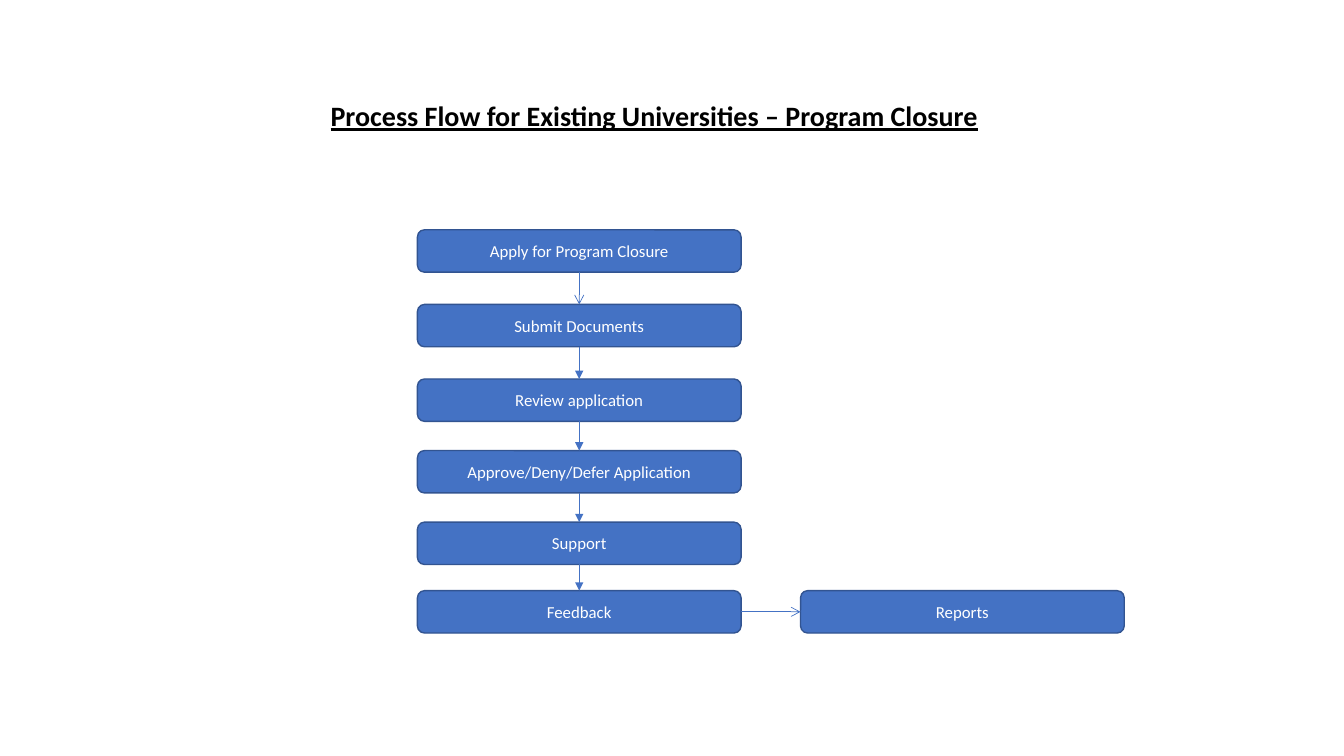
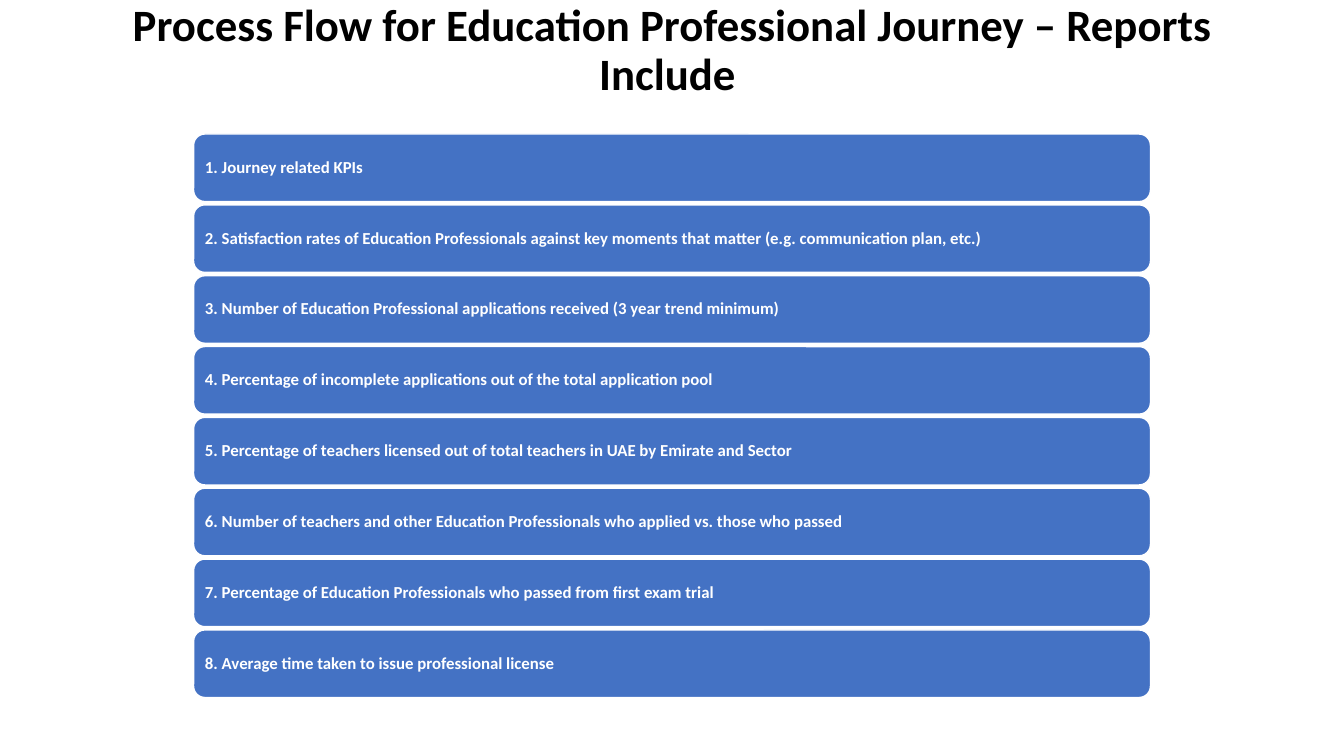
from itertools import pairwise

from lxml.etree import SubElement
from pptx import Presentation
from pptx.dml.color import RGBColor
from pptx.enum.shapes import MSO_CONNECTOR, MSO_SHAPE
from pptx.enum.text import MSO_ANCHOR, PP_ALIGN
from pptx.oxml.ns import qn
from pptx.util import Pt

EMU_PER_PX = 9144
SLIDE_SIZE = (1333, 750)
FONT = "Calibri"
COLORS = {
    "black": "000000",
    "white": "FFFFFF",
    "blue": "4472C4",
    "outline": "325491",
}
TOP, LEFT, BOTTOM, RIGHT = range(4)

STEPS = [
    "Apply for Program Closure",
    "Submit Documents",
    "Review application",
    "Approve/Deny/Defer Application",
    "Support",
    "Feedback",
]
STEP_GAPS = [32, 32, 29, 29, 26]
STEP_SIZE = (321, 42)
REPORTS_GAP = 59

REPORT_ITEMS = [
    "Journey related KPIs",
    "Satisfaction rates of Education Professionals against key moments "
    "that matter (e.g. communication plan, etc.)",
    "Number of Education Professional applications received (3 year trend minimum)",
    "Percentage of incomplete applications out of the total application pool",
    "Percentage of teachers licensed out of total teachers in UAE by Emirate and Sector",
    "Number of teachers and other Education Professionals who applied vs. those who passed",
    "Percentage of Education Professionals who passed from first exam trial",
    "Average time taken to issue professional license",
]
BAR_HEIGHT = 67


def px(length):
    return round(length * EMU_PER_PX)


def color(name):
    return RGBColor.from_string(COLORS[name])


def write(shape, text, size, color_name, alignment, bold=False, underline=False,
          line_spacing=1.0):
    paragraph = shape.text_frame.paragraphs[0]
    paragraph.alignment = alignment
    paragraph.line_spacing = line_spacing
    run = paragraph.add_run()
    run.text = text
    run.font.name = FONT
    run.font.size = Pt(size)
    run.font.bold = bold
    run.font.underline = underline
    run.font.color.rgb = color(color_name)


def add_title(slide, box, text, size, wrap=True, anchor=MSO_ANCHOR.TOP, **style):
    shape = slide.shapes.add_textbox(*map(px, box))
    shape.text_frame.word_wrap = wrap
    shape.text_frame.vertical_anchor = anchor
    write(shape, text, size, "black", bold=True, **style)


def add_rounded_box(slide, box, line_color):
    shape = slide.shapes.add_shape(MSO_SHAPE.ROUNDED_RECTANGLE, *map(px, box))
    shape.shadow.inherit = False
    shape.fill.solid()
    shape.fill.fore_color.rgb = color("blue")
    shape.line.color.rgb = color(line_color)
    shape.line.width = Pt(1)
    shape.text_frame.word_wrap = True
    shape.text_frame.vertical_anchor = MSO_ANCHOR.MIDDLE
    return shape


def add_step(slide, left, top, text):
    shape = add_rounded_box(slide, (left, top, *STEP_SIZE), "outline")
    write(shape, text, 12, "white", PP_ALIGN.CENTER)
    return shape


def add_arrow(slide, source, source_side, target, target_side, head):
    connector = slide.shapes.add_connector(MSO_CONNECTOR.STRAIGHT, 0, 0, 0, 0)
    connector.begin_connect(source, source_side)
    connector.end_connect(target, target_side)
    connector.line.color.rgb = color("blue")
    connector.line.width = Pt(0.5)
    SubElement(connector.line._get_or_add_ln(), qn("a:tailEnd"), type=head)
    SubElement(connector._element.spPr, qn("a:effectLst"))


def add_flow(slide, left, top):
    width, height = STEP_SIZE
    steps = []
    for text, gap in zip(STEPS, [0, *STEP_GAPS]):
        top += gap
        steps.append(add_step(slide, left, top, text))
        top += height
    reports = add_step(slide, left + width + REPORTS_GAP, top - height, "Reports")
    for index, (source, target) in enumerate(pairwise(steps)):
        head = "triangle" if index else "arrow"
        add_arrow(slide, source, BOTTOM, target, TOP, head)
    add_arrow(slide, steps[-1], RIGHT, reports, LEFT, "arrow")


def add_report_list(slide, left, top, width, height):
    pitch = (height - BAR_HEIGHT) / (len(REPORT_ITEMS) - 1)
    for index, item in enumerate(REPORT_ITEMS):
        box = (left, top + index * pitch, width, BAR_HEIGHT)
        bar = add_rounded_box(slide, box, "white")
        bar.text_frame.margin_left = bar.text_frame.margin_right = px(8)
        write(bar, f"{index + 1}. {item}", 12, "white", PP_ALIGN.LEFT, bold=True,
              line_spacing=0.9)


def build_closure_slide(slide):
    add_title(slide, (318, 93, 668, 44),
              "Process Flow for Existing Universities – Program Closure", 20,
              wrap=False, alignment=PP_ALIGN.LEFT, underline=True)
    add_flow(slide, 414, 228)


def build_reports_slide(slide):
    add_title(slide, (57, 0, 1220, 104),
              "Process Flow for Education Professional Journey – Reports Include ", 32,
              anchor=MSO_ANCHOR.BOTTOM, alignment=PP_ALIGN.CENTER, line_spacing=0.9)
    add_report_list(slide, 192, 133, 949, 559)


def main():
    presentation = Presentation()
    presentation.slide_width, presentation.slide_height = map(px, SLIDE_SIZE)
    blank = presentation.slide_layouts[6]
    for build in (build_closure_slide, build_reports_slide):
        build(presentation.slides.add_slide(blank))
    presentation.save("out.pptx")


if __name__ == "__main__":
    main()
